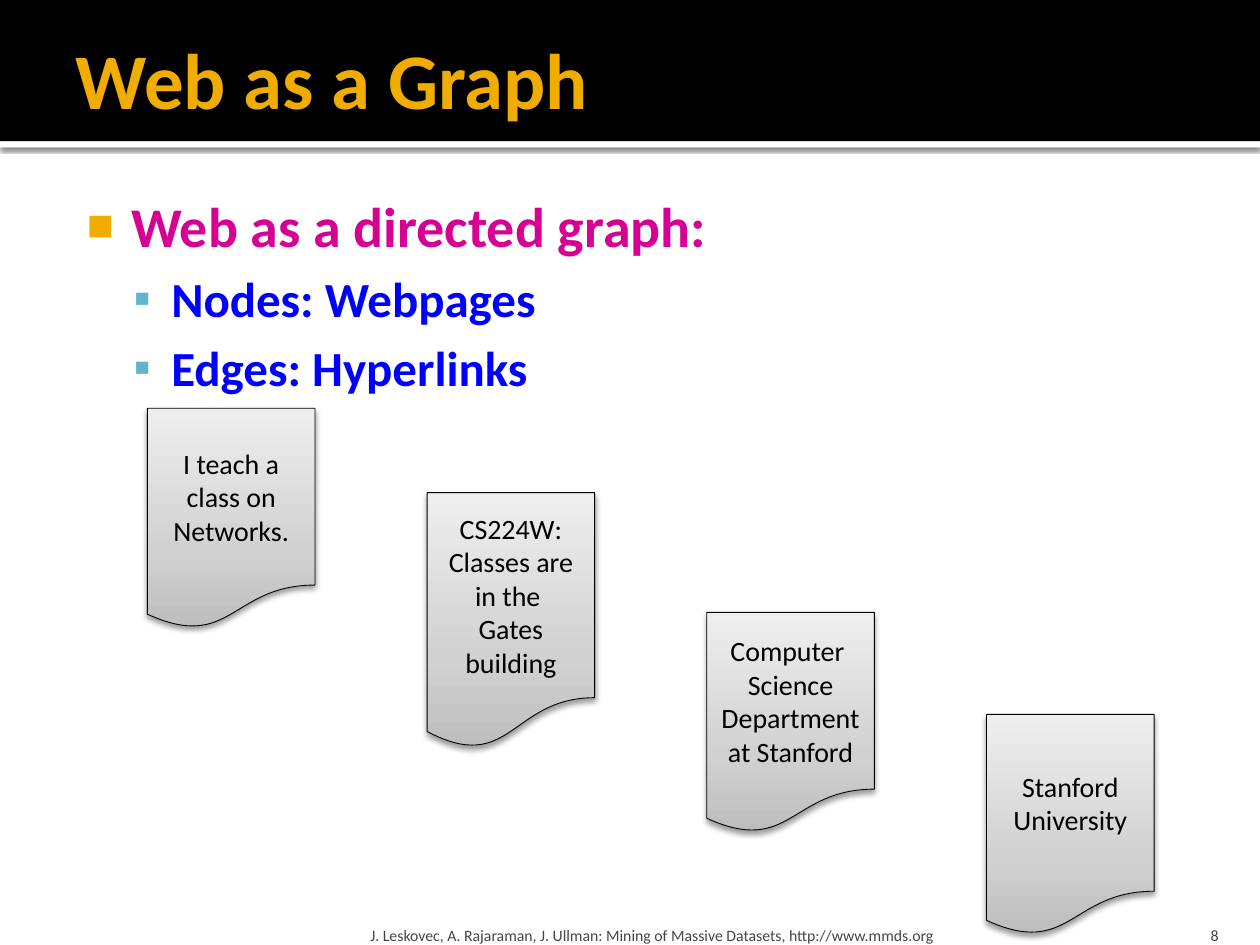
from lxml import etree
from pptx import Presentation
from pptx.dml.color import RGBColor
from pptx.enum.shapes import MSO_SHAPE
from pptx.enum.text import MSO_ANCHOR, MSO_AUTO_SIZE, PP_ALIGN
from pptx.oxml.ns import qn
from pptx.util import Emu, Pt

RECT, DOCUMENT = MSO_SHAPE.RECTANGLE, MSO_SHAPE.FLOWCHART_DOCUMENT
MIDDLE, TOP, BOTTOM = MSO_ANCHOR.MIDDLE, MSO_ANCHOR.TOP, MSO_ANCHOR.BOTTOM
LEFT, CENTER, RIGHT = PP_ALIGN.LEFT, PP_ALIGN.CENTER, PP_ALIGN.RIGHT
NO_FIT = MSO_AUTO_SIZE.NONE
FONT = "Calibri"
COLORS = {
    "black": "000000", "white": "FFFFFF", "gold": "F0AD00", "teal": "60B5CC",
    "magenta": "D60093", "blue": "0000FF", "gray": "454545",
    "page_dark": "BDBDBD", "page_mid": "D1D1D1", "page_light": "EEEEEE",
}
PAGE_STOPS = [(0, "page_dark"), (35, "page_mid"), (100, "page_light")]
BULLETS = [
    ("Web as a directed graph:", 0, 32, "magenta"),
    ("Nodes: Webpages", 1, 28, "blue"),
    ("Edges: Hyperlinks", 1, 28, "blue"),
]
BULLET_STYLES = [("■", "gold", 80, 48, -35), ("▪", "teal", 100, 80, -30)]
PAGES = [
    (["I teach a class on Networks."], 324, 175),
    (["CS224W: Classes are in the ", "Gates building"], 391, 203),
    (["Computer  Science Department at Stanford"], 486, 175),
    (["Stanford University"], 567, 175),
]


def px(n):
    """Convert px, 100 to the inch, into EMU."""
    return Emu(n * 9144)


def rgb(name):
    """Look up a palette colour."""
    return RGBColor.from_string(COLORS[name])


def add_xml(parent, tag, **attrs):
    """Append a DrawingML child element."""
    return etree.SubElement(parent, qn(f"a:{tag}"), attrs)


def place(sp, box):
    """Move a shape to a box given in px."""
    sp.left, sp.top, sp.width, sp.height = map(px, box)


def set_frame(sp, anchor, insets):
    """Set wrapping, anchor and insets, and return the text frame."""
    tf = sp.text_frame
    tf.word_wrap, tf.auto_size, tf.vertical_anchor = True, NO_FIT, anchor
    tf.margin_left, tf.margin_top, tf.margin_right, tf.margin_bottom = map(px, insets)
    return tf


def add_run(p, text, size, color, bold=False):
    """Add one formatted run."""
    r = p.add_run()
    r.text = text
    r.font.name, r.font.size, r.font.bold = FONT, Pt(size), bold
    r.font.color.rgb = rgb(color)


def add_shadow(sp, alpha, blur, dist):
    """Give a shape a black shadow that falls straight down."""
    sp.shadow.inherit = False
    effects = sp._element.spPr.find(qn("a:effectLst"))
    shadow = add_xml(effects, "outerShdw", blurRad=str(Pt(blur)), dist=str(Pt(dist)),
                     dir="5400000", algn="ctr", rotWithShape="0")
    clr = add_xml(shadow, "srgbClr", val=COLORS["black"])
    add_xml(clr, "alpha", val=str(alpha * 1000))


def add_band(s, box, color):
    """Add a plain filled strip."""
    sp = s.shapes.add_shape(RECT, *map(px, box))
    sp.fill.solid()
    sp.fill.fore_color.rgb = rgb(color)
    sp.line.fill.background()
    sp.shadow.inherit = False
    return sp


def add_header(s, box):
    """Draw the black header with its white rule and the title."""
    x, y, w, h = box
    rule = add_band(s, (x, y + h, w, 5), "white")
    add_shadow(rule, 60, 2.5, 0.8)
    add_band(s, box, "black")
    title = s.shapes.title
    s.shapes._spTree.append(title._element)
    place(title, (x + 50, y + 8, w - 100, h - 4))
    p = set_frame(title, MIDDLE, (10, 5, 5, 5)).paragraphs[0]
    p.alignment = LEFT
    add_run(p, "Web as a Graph", 45, "gold", True)


def add_bullets(s, box):
    """Fill the body placeholder with the two-level list."""
    body = s.placeholders[1]
    place(body, box)
    tf = set_frame(body, TOP, (6, 10, 10, 5))
    for i, (text, level, size, color) in enumerate(BULLETS):
        p = tf.add_paragraph() if i else tf.paragraphs[0]
        char, bullet_color, percent, margin, indent = BULLET_STYLES[level]
        p.level = level
        pPr = p._p.get_or_add_pPr()
        pPr.set("marL", str(px(margin)))
        pPr.set("indent", str(px(indent)))
        add_xml(add_xml(pPr, "buClr"), "srgbClr", val=COLORS[bullet_color])
        add_xml(pPr, "buSzPct", val=str(percent * 1000))
        add_xml(pPr, "buChar", char=char)
        if i == 0:
            p.space_before = Pt(0)
        add_run(p, text, size, color, True)


def add_page(s, box, lines):
    """Draw one web page as a shaded document shape."""
    sp = s.shapes.add_shape(DOCUMENT, *map(px, box))
    sp.fill.gradient()
    sp.fill.gradient_angle = 90
    stops = sp._element.spPr.find(f".//{qn('a:gsLst')}")
    stops.clear()
    for pos, color in PAGE_STOPS:
        stop = add_xml(stops, "gs", pos=str(pos * 1000))
        add_xml(stop, "srgbClr", val=COLORS[color])
    sp.line.color.rgb = rgb("black")
    sp.line.width = Pt(0.5)
    add_shadow(sp, 38, 3.5, 2)
    p = set_frame(sp, MIDDLE, (10, 5, 10, 5)).paragraphs[0]
    p.alignment = CENTER
    for i, line in enumerate(lines):
        if i:
            p.add_line_break()
        add_run(p, line, 16, "black")


def add_pages(s, left, step, width):
    """Set the web pages out at equal steps across the slide."""
    for i, (lines, top, height) in enumerate(PAGES):
        add_page(s, (left + i * step, top, width, height), lines)


def add_note(s, box, text, align, side):
    """Add one small text of the footer."""
    sp = s.shapes.add_textbox(*map(px, box))
    p = set_frame(sp, BOTTOM, (side, 5, side, 0)).paragraphs[0]
    p.alignment = align
    add_run(p, text, 9, "gray")


def add_footer(s, top, height):
    """Add the credit line and the slide number."""
    add_note(s, (289, top, 602, height), "J. Leskovec, A. Rajaraman, J. Ullman: "
             "Mining of Massive Datasets, http://www.mmds.org", LEFT, 5)
    add_note(s, (897, top, 80, height), "8", RIGHT, 10)


def main():
    """Build and save the slide."""
    prs = Presentation()
    prs.slide_width, prs.slide_height = px(1000), px(750)
    s = prs.slides.add_slide(prs.slide_layouts[1])
    s.background.fill.solid()
    s.background.fill.fore_color.rgb = rgb("white")
    add_header(s, (0, 0, 1000, 112))
    add_bullets(s, (50, 142, 900, 575))
    add_footer(s, 720, 30)
    add_pages(s, 117, 222, 133)
    prs.save("out.pptx")


if __name__ == "__main__":
    main()
